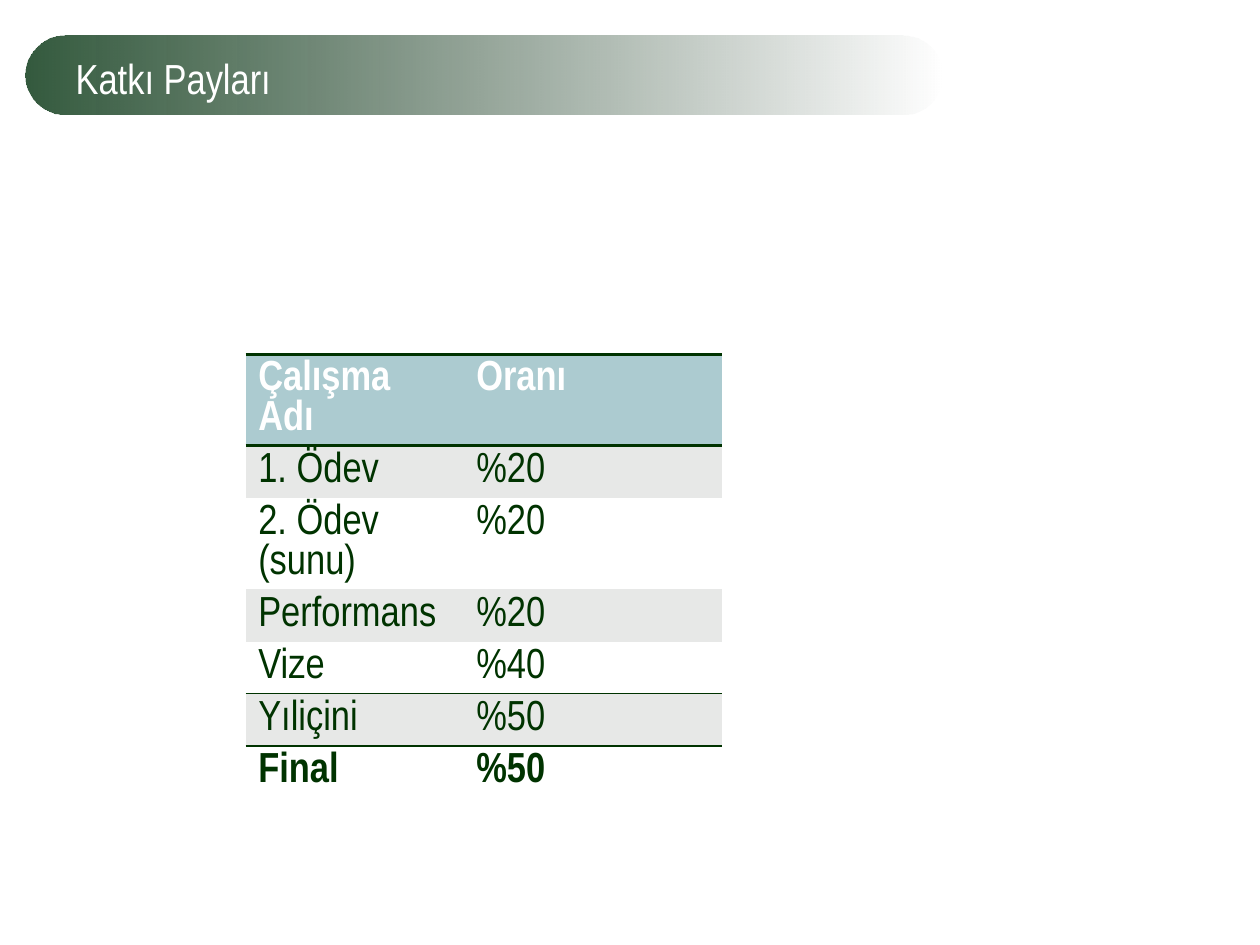
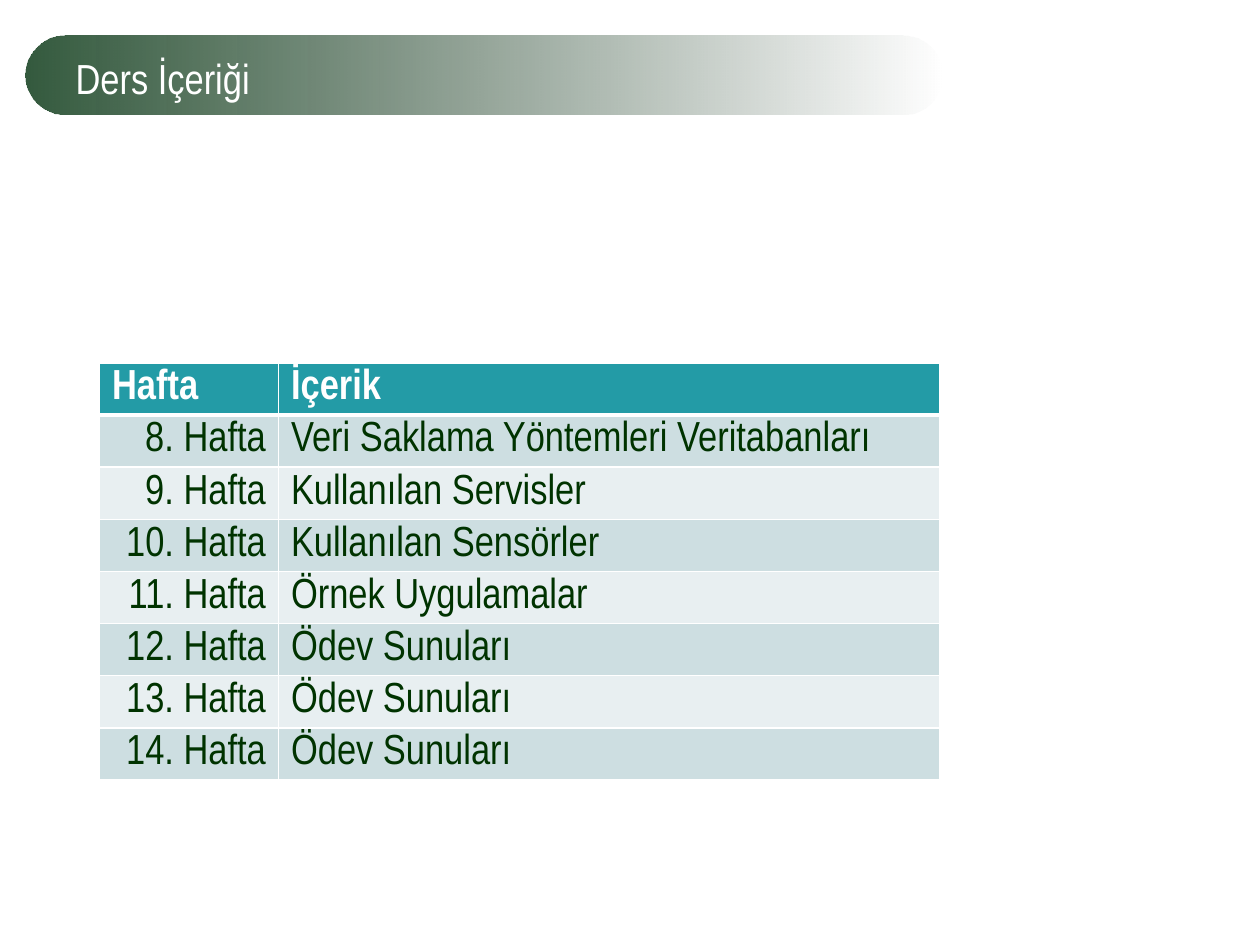
from pptx import Presentation
from pptx import util as u
from pptx.dml.color import RGBColor
from pptx.enum import shapes, text
from pptx.oxml.ns import qn
from lxml import etree

WIDTH, HEIGHT = u.Inches(10), u.Inches(7.5)
COLUMN, ROW = WIDTH / 100, HEIGHT / 75
FONT, SIZE = "Arial Narrow", u.Pt(24)
NO_STYLE = "{2D5ABB26-0587-4C30-8999-92F81FD0307C}"

WHITE = RGBColor(0xFF, 0xFF, 0xFF)
INK = RGBColor(0x00, 0x33, 0x00)
BAND_START = RGBColor(0x34, 0x5A, 0x3E)
BAND_END = RGBColor(0x25, 0x40, 0x2C)
SHARE_HEAD = RGBColor(0xAC, 0xCB, 0xD0)
SHARE_STRIPE = RGBColor(0xE7, 0xE8, 0xE7)
WEEK_HEAD = RGBColor(0x23, 0x9B, 0xA6)
WEEK_DARK = RGBColor(0xCD, 0xDE, 0xE1)
WEEK_LIGHT = RGBColor(0xE8, 0xEF, 0xF1)

SHARES = [
    ("Çalışma Adı", "Oranı"),
    ("1. Ödev", "%20"),
    ("2. Ödev (sunu)", "%20"),
    ("Performans", "%20"),
    ("Vize", "%40"),
    ("Yıliçini", "%50"),
    ("Final", "%50"),
]
TOPICS = [
    "Veri Saklama Yöntemleri Veritabanları",
    "Kullanılan Servisler",
    "Kullanılan Sensörler",
    "Örnek Uygulamalar",
    "Ödev Sunuları",
    "Ödev Sunuları",
    "Ödev Sunuları",
]


def grid_box(left, top, width, height):
    """Turn grid columns and rows into a box in length units."""
    return (int(COLUMN * left), int(ROW * top),
            int(COLUMN * width), int(ROW * height))


def format_paragraph(para, color, bold=False, align=text.PP_ALIGN.LEFT):
    """Give a paragraph the deck's type style."""
    para.alignment = align
    font = para.font
    font.name, font.size, font.bold = FONT, SIZE, bold
    font.color.rgb = color


def add_band(page, box):
    """Draw the pill that fades out to the right, behind the title."""
    band = page.shapes.add_shape(shapes.MSO_SHAPE.ROUNDED_RECTANGLE, *box)
    band.shadow.inherit = False
    band.adjustments[0] = 0.5
    band.line.fill.background()
    band.fill.gradient()
    band.fill.gradient_angle = 0
    for stop, color, place in zip(band.fill.gradient_stops, (BAND_START, BAND_END), (0, 1)):
        stop.color.rgb = color
        stop.position = place
    last_color = band._element.spPr.findall(".//" + qn("a:srgbClr"))[-1]
    etree.SubElement(last_color, qn("a:alpha"), val="0")
    page.shapes.title._element.addprevious(band._element)


def add_page(deck, heading):
    """Add a slide with its band and title."""
    page = deck.slides.add_slide(deck.slide_layouts[5])
    title = page.shapes.title
    title.left, title.top, title.width, title.height = grid_box(5, 2.9, 90, 6.5)
    frame = title.text_frame
    frame.text = heading
    frame.auto_size = text.MSO_AUTO_SIZE.NONE
    frame.vertical_anchor = text.MSO_ANCHOR.MIDDLE
    format_paragraph(frame.paragraphs[0], WHITE)
    add_band(page, grid_box(2, 2.8, 72.8, 6.3))
    return page


def set_borders(cell, color, widths):
    """Draw the cell's sides, whose widths are keyed L, R, T and B."""
    props = cell._tc.get_or_add_tcPr()
    for side in "LRTB":
        if side in widths:
            line = etree.SubElement(props, qn("a:ln" + side), w=str(u.Pt(widths[side])))
            fill = etree.SubElement(line, qn("a:solidFill"))
            etree.SubElement(fill, qn("a:srgbClr"), val=str(color))


def add_grid(page, box, weights, rows):
    """Add an unstyled table whose columns divide the box by weight."""
    table = page.shapes.add_table(len(rows), len(weights), *box).table
    table._tbl.tblPr.find(qn("a:tableStyleId")).text = NO_STYLE
    table.horz_banding = False
    for column, weight in zip(table.columns, weights):
        column.width = int(box[2] * weight / sum(weights))
    for row, values in zip(table.rows, rows):
        row.height = box[3] // len(rows)
        for cell, value in zip(row.cells, values):
            cell.text = value
    return table


def paint_cell(cell, fill, color, bold, align=text.PP_ALIGN.LEFT):
    """Fill a cell and style its text."""
    cell.fill.solid()
    cell.fill.fore_color.rgb = fill
    format_paragraph(cell.text_frame.paragraphs[0], color, bold, align)


def add_share_table(page, box):
    """Place the grade shares, ruled around the header and the subtotal."""
    table = add_grid(page, box, (17.3, 20.5), SHARES)
    last = len(SHARES) - 1
    rules = {0: {"T": 2, "B": 2}, last - 2: {"B": 1},
             last - 1: {"T": 1, "B": 1}, last: {"T": 1}}
    for index, row in enumerate(table.rows):
        stripe = SHARE_STRIPE if index % 2 else WHITE
        for cell in row.cells:
            set_borders(cell, INK, rules.get(index, {}))
            paint_cell(cell, stripe if index else SHARE_HEAD,
                       INK if index else WHITE, index in (0, last))


def add_week_table(page, box):
    """Place the weekly topics with white rules and right-aligned weeks."""
    weeks = [(f"{week}. Hafta", topic) for week, topic in enumerate(TOPICS, 8)]
    table = add_grid(page, box, (14.2, 52.5), [("Hafta", "İçerik")] + weeks)
    for index, row in enumerate(table.rows):
        widths = {"L": 1, "R": 1, "T": 3 if index == 1 else 1, "B": 1 if index else 3}
        stripe = WEEK_DARK if index % 2 else WEEK_LIGHT
        for column, cell in enumerate(row.cells):
            right = index and column == 0
            set_borders(cell, WHITE, widths)
            paint_cell(cell, stripe if index else WEEK_HEAD,
                       INK if index else WHITE, index == 0,
                       text.PP_ALIGN.RIGHT if right else text.PP_ALIGN.LEFT)


def main():
    """Build and save the deck."""
    deck = Presentation()
    deck.slide_width, deck.slide_height = WIDTH, HEIGHT
    add_share_table(add_page(deck, "Katkı Payları"), grid_box(19.5, 28.1, 37.8, 28.7))
    add_week_table(add_page(deck, "Ders İçeriği"), grid_box(7.9, 28.8, 66.7, 32.8))
    deck.save("out.pptx")


if __name__ == "__main__":
    main()
